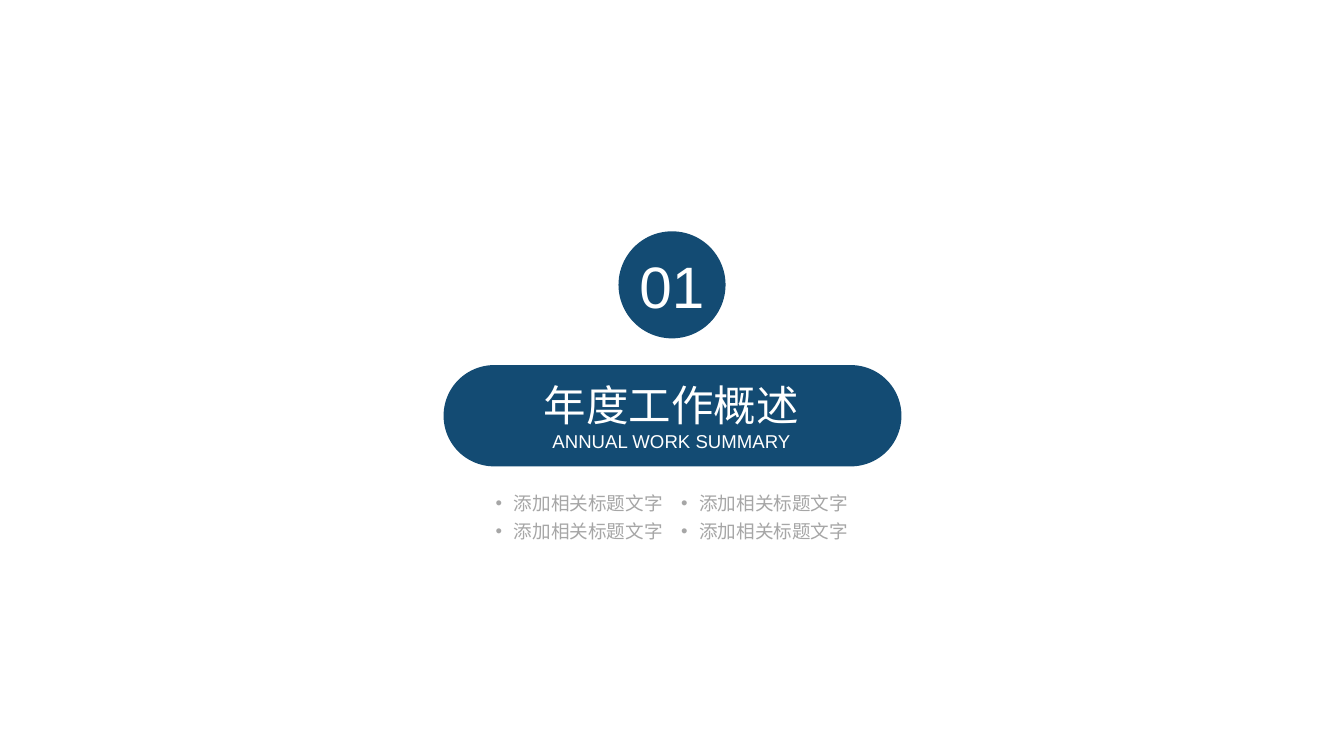
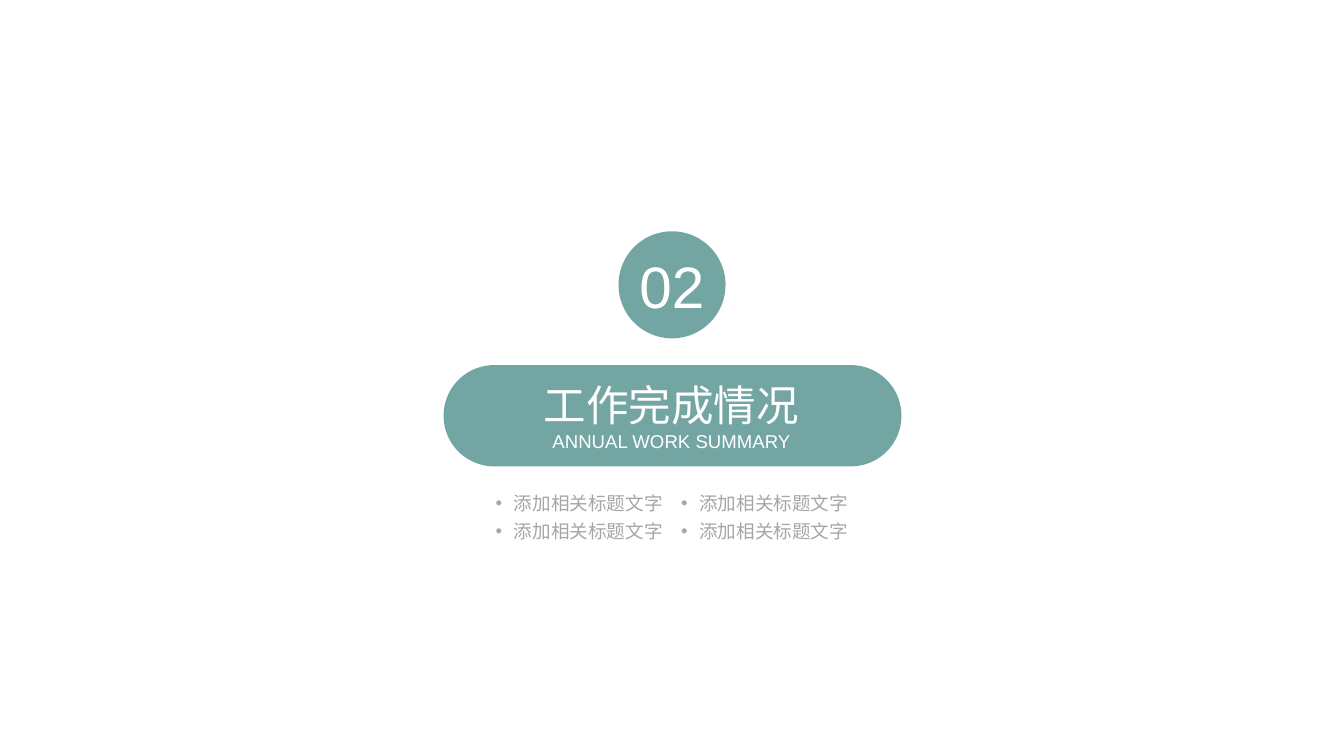
from dataclasses import dataclass

from lxml import etree
from pptx import Presentation
from pptx.dml.color import RGBColor
from pptx.enum.shapes import MSO_SHAPE
from pptx.enum.text import MSO_ANCHOR, MSO_AUTO_SIZE, PP_ALIGN
from pptx.oxml.ns import qn
from pptx.util import Emu, Pt

PX = 9144  # 100 px to the inch
SLIDE_WIDTH, SLIDE_HEIGHT = 1406, 791
TWO_CONTENT_LAYOUT = 3

PILL = MSO_SHAPE.ROUNDED_RECTANGLE
CIRCLE = MSO_SHAPE.OVAL
MIDDLE, TOP = MSO_ANCHOR.MIDDLE, MSO_ANCHOR.TOP
CENTER = PP_ALIGN.CENTER
NO_AUTOFIT = MSO_AUTO_SIZE.NONE

FONT = "Arial"
WHITE, GRAY = "FFFFFF", "A6A6A6"
NAVY, TEAL = "134B73", "73A6A3"

TOPIC = "添加相关标题文字"
TOPICS_PER_COLUMN = 2
TOPIC_PITCH = Pt(21.3)
BULLET_INDENT = 19


@dataclass(frozen=True)
class Box:
    left: int
    top: int
    width: int
    height: int

    def emu(self) -> tuple[Emu, ...]:
        return tuple(px(n) for n in (self.left, self.top, self.width, self.height))


@dataclass(frozen=True)
class Section:
    number: str
    heading: str
    subtitle: str
    color: str
    subtitle_flows_on: bool = False


PILL_BOX = Box(464, 382, 479, 106)
NUMBER_BOX = Box(647, 242, 112, 112)
TITLE_BOX = Box(564, 396, 277, 77)
TOPIC_BOXES = [Box(518 + 194 * column, 508, 176, 60) for column in range(2)]

SECTIONS = [
    Section("01", "年度工作概述", "ANNUAL WORK SUMMARY", NAVY),
    Section("02", "工作完成情况", "ANNUAL WORK SUMMARY", TEAL, subtitle_flows_on=True),
]


def px(length: int) -> Emu:
    return Emu(length * PX)


def rgb(color: str) -> RGBColor:
    return RGBColor.from_string(color)


def set_font(font, size: int, color: str) -> None:
    font.name, font.size, font.bold = FONT, Pt(size), False
    font.color.rgb = rgb(color)


def prepare_frame(frame, anchor, wrap: bool = True) -> None:
    """Remove the margins and fix wrapping and anchoring."""
    frame.margin_left = frame.margin_top = frame.margin_right = frame.margin_bottom = 0
    frame.auto_size = NO_AUTOFIT
    frame.word_wrap = wrap
    frame.vertical_anchor = anchor


def place(shape, box: Box) -> None:
    shape.left, shape.top, shape.width, shape.height = box.emu()


def add_filled_shape(slide, kind, box: Box, color: str):
    shape = slide.shapes.add_shape(kind, *box.emu())
    shape.shadow.inherit = False
    shape.fill.solid()
    shape.fill.fore_color.rgb = rgb(color)
    shape.line.fill.background()
    return shape


def add_number(slide, section: Section) -> None:
    circle = add_filled_shape(slide, CIRCLE, NUMBER_BOX, section.color)
    prepare_frame(circle.text_frame, MIDDLE)
    number = circle.text_frame.paragraphs[0]
    number.text = section.number
    number.alignment = CENTER
    set_font(number.font, 44, WHITE)


def add_title(slide, section: Section) -> None:
    title = slide.shapes.title
    pill = add_filled_shape(slide, PILL, PILL_BOX, section.color)
    pill.adjustments[0] = 0.5
    title.element.addprevious(pill.element)

    place(title, TITLE_BOX)
    frame = title.text_frame
    prepare_frame(frame, MIDDLE)
    heading = frame.paragraphs[0]
    subtitle = heading if section.subtitle_flows_on else frame.add_paragraph()
    for paragraph, text, size in (
        (heading, section.heading, 32),
        (subtitle, section.subtitle, 14),
    ):
        paragraph.alignment = CENTER
        run = paragraph.add_run()
        run.text = text
        set_font(run.font, size, WHITE)


def add_bullet(paragraph) -> None:
    properties = paragraph._p.get_or_add_pPr()
    properties.set("marL", str(px(BULLET_INDENT)))
    properties.set("indent", str(-px(BULLET_INDENT)))
    etree.SubElement(properties, qn("a:buFont"), typeface=FONT)
    etree.SubElement(properties, qn("a:buChar"), char="•")


def fill_topics(placeholder, box: Box) -> None:
    place(placeholder, box)
    frame = placeholder.text_frame
    prepare_frame(frame, TOP, wrap=False)
    for index in range(TOPICS_PER_COLUMN):
        topic = frame.add_paragraph() if index else frame.paragraphs[0]
        topic.text = TOPIC
        add_bullet(topic)
        topic.alignment = CENTER
        topic.space_before = Pt(0)
        topic.line_spacing = TOPIC_PITCH
        set_font(topic.font, 14, GRAY)


def add_section_slide(presentation, section: Section) -> None:
    layout = presentation.slide_layouts[TWO_CONTENT_LAYOUT]
    slide = presentation.slides.add_slide(layout)
    add_title(slide, section)
    add_number(slide, section)
    for column, box in enumerate(TOPIC_BOXES, start=1):
        fill_topics(slide.placeholders[column], box)


def main() -> None:
    presentation = Presentation()
    presentation.slide_width = px(SLIDE_WIDTH)
    presentation.slide_height = px(SLIDE_HEIGHT)
    for section in SECTIONS:
        add_section_slide(presentation, section)
    presentation.save("out.pptx")


if __name__ == "__main__":
    main()
